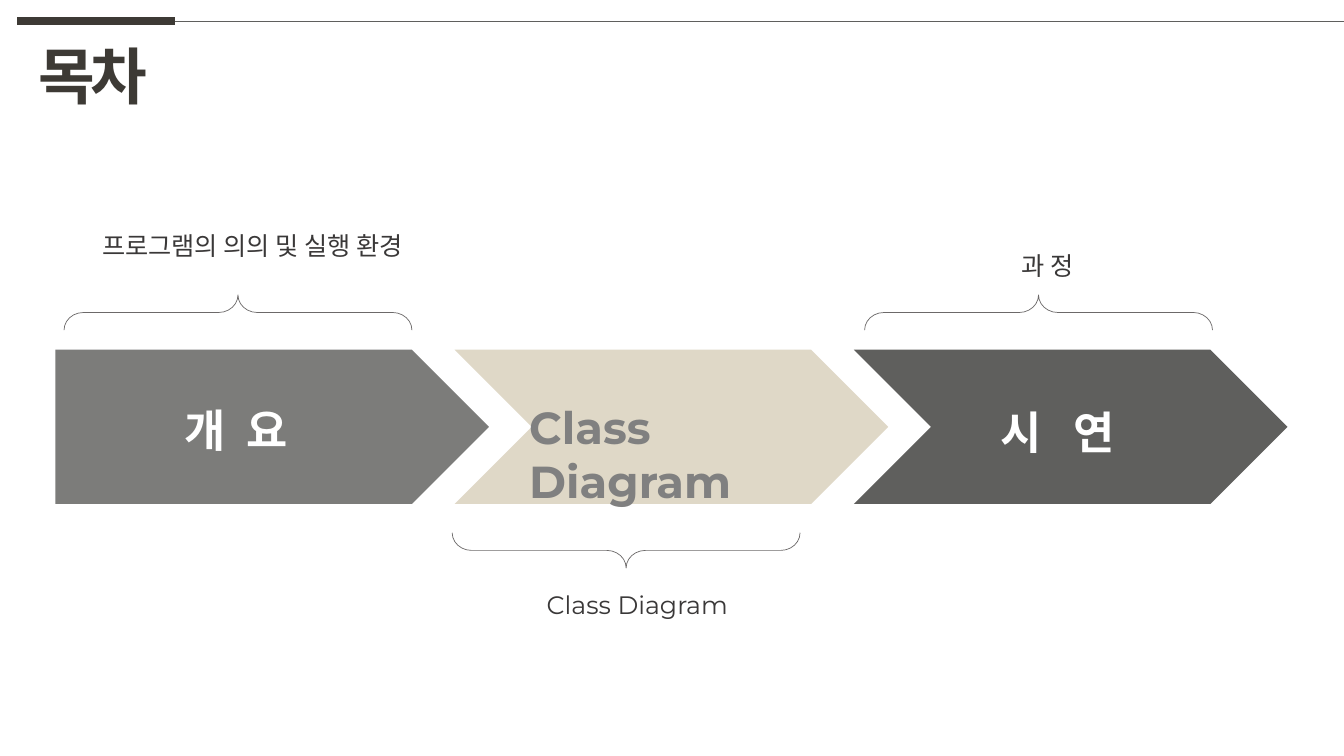
from lxml import etree
from pptx import Presentation
from pptx import util as u
from pptx.dml.color import RGBColor
from pptx.enum import shapes, text
from pptx.oxml.ns import qn

COLORS = {
    "title": "3D3A35", "rule": "5F5F5D", "brace": "6C6969", "caption": "3A3838",
    "overview": "7C7C7A", "diagram": "DFD8C7", "demo": "5F5F5D",
    "diagram_label": "808080", "white": "FFFFFF",
}


def color(name):
    return RGBColor.from_string(COLORS[name])


def write(frame, content, size, ink, font="Montserrat", bold=False, align=None, spacing=0):
    paragraph = frame.paragraphs[0]
    paragraph.alignment = align
    run = paragraph.add_run()
    run.text = content
    run.font.name = font
    run.font.size = u.Pt(size)
    run.font.bold = bold
    run.font.color.rgb = color(ink)
    if spacing:
        run.font._element.set("spc", str(int(spacing * 100)))


class SlideBuilder:
    def __init__(self, slide):
        self.slide = slide

    def line(self, start, end, y, ink, width):
        connector = self.slide.shapes.add_connector(
            shapes.MSO_CONNECTOR.STRAIGHT,
            u.Inches(start), u.Inches(y), u.Inches(end), u.Inches(y))
        connector.line.color.rgb = color(ink)
        connector.line.width = u.Pt(width)
        etree.SubElement(connector._element.spPr, qn("a:effectLst"))

    def shape(self, kind, left, top, width, height):
        shape = self.slide.shapes.add_shape(
            kind, u.Inches(left), u.Inches(top), u.Inches(width), u.Inches(height))
        shape.shadow.inherit = False
        return shape

    def arrow(self, kind, left, fill):
        shape = self.shape(kind, left, 3.47, 4.3, 1.53)
        shape.fill.solid()
        shape.fill.fore_color.rgb = color(fill)
        shape.line.fill.background()

    def brace(self, center_x, center_y, rotation):
        depth, span = 0.35, 3.45
        shape = self.shape(shapes.MSO_SHAPE.LEFT_BRACE,
                           center_x - depth / 2, center_y - span / 2, depth, span)
        shape.rotation = rotation
        shape.adjustments[0] = 0.545
        shape.fill.background()
        shape.line.color.rgb = color("brace")
        shape.line.width = u.Pt(0.5)

    def text(self, content, left, top, width, height, wrap=False, right_inset=0.1, **style):
        box = self.slide.shapes.add_textbox(
            u.Inches(left), u.Inches(top), u.Inches(width), u.Inches(height))
        frame = box.text_frame
        frame.word_wrap = wrap
        frame.margin_right = u.Inches(right_inset)
        write(frame, content, **style)

    def caption(self, content, left, top, width):
        self.text(content, left, top, width, 0.4, size=18, ink="caption",
                  align=text.PP_ALIGN.CENTER)

    def label(self, content, left, top, width, ink="white", **style):
        self.text(content, left, top, width, 0.64, size=32, ink=ink, bold=True, **style)


presentation = Presentation()
presentation.slide_width = u.Inches(13.33)
presentation.slide_height = u.Inches(7.5)
builder = SlideBuilder(presentation.slides.add_slide(presentation.slide_layouts[6]))

builder.line(0.17, 1.74, 0.21, "title", 6)
builder.text("목차", 0.28, 0.33, 1.35, 0.84, size=44, ink="title", bold=True, spacing=-3)
builder.line(1.74, 13.33, 0.21, "rule", 0.5)

steps = [
    (shapes.MSO_SHAPE.PENTAGON, "overview"),
    (shapes.MSO_SHAPE.CHEVRON, "diagram"),
    (shapes.MSO_SHAPE.CHEVRON, "demo"),
]
for index, (kind, fill) in reversed(list(enumerate(steps))):
    builder.arrow(kind, 0.55 + 3.96 * index, fill)

for center_x, center_y, rotation in [(6.21, 5.46, 270), (2.36, 3.1, 90), (10.3, 3.1, 90)]:
    builder.brace(center_x, center_y, rotation)

builder.label("개 요", 1.73, 3.95, 1.42, font="Open Sans", spacing=4)
builder.label("Class Diagram", 5.15, 3.92, 3.53, ink="diagram_label",
              wrap=True, right_inset=0.6)
builder.label("시 연", 9.82, 3.97, 1.47, spacing=8)

builder.caption("프로그램의 의의 및 실행 환경", 0.75, 2.24, 3.51)
builder.caption("Class Diagram", 5.28, 5.8, 2.08)
builder.caption("과 정 ", 9.99, 2.43, 0.85)

presentation.save("out.pptx")
